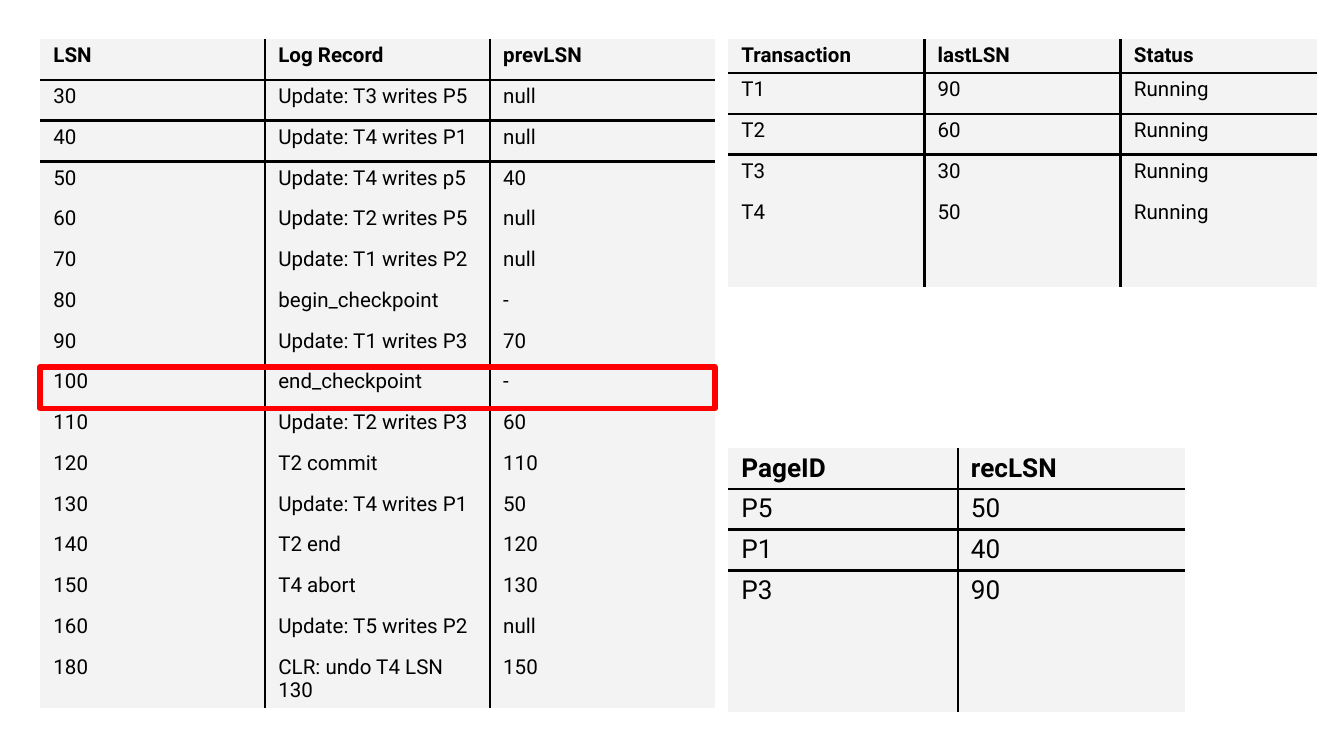
from dataclasses import dataclass

from lxml.etree import SubElement
from pptx import Presentation
from pptx.dml.color import RGBColor as RGB
from pptx.enum.shapes import MSO_SHAPE as Shape
from pptx.oxml.ns import qn
from pptx.util import Cm, Pt


@dataclass(frozen=True)
class Theme:
    font: str = "Roboto"
    ink: str = "000000"
    cell: str = "F3F3F3"
    accent: str = "FF0000"
    small: float = 11
    large: float = 14
    rule: float = 1.5
    frame: float = 3


@dataclass(frozen=True)
class Grid:
    """A table; all lengths are in centimetres."""
    left: float
    top: float
    cols: tuple[float, ...]
    rows: list[tuple[str, ...]]
    size: float
    header_height: float


THEME = Theme()
ROW_HEIGHT = 0.77
EMPTY_ROW_HEIGHT = 0.9
PLAIN_STYLE = "{2D5ABB26-0587-4C30-8999-92F81FD0307C}"

# Contents of the three recovery tables
LOG = Grid(0.76, 0.74, (4.25,) * 3, [
    ("LSN", "Log Record", "prevLSN"),
    ("30", "Update: T3 writes P5", "null"),
    ("40", "Update: T4 writes P1", "null"),
    ("50", "Update: T4 writes p5", "40"),
    ("60", "Update: T2 writes P5", "null"),
    ("70", "Update: T1 writes P2", "null"),
    ("80", "begin_checkpoint", "-"),
    ("90", "Update: T1 writes P3", "70"),
    ("100", "end_checkpoint", "-"),
    ("110", "Update: T2 writes P3", "60"),
    ("120", "T2 commit", "110"),
    ("130", "Update: T4 writes P1", "50"),
    ("140", "T2 end", "120"),
    ("150", "T4 abort", "130"),
    ("160", "Update: T5 writes P2", "null"),
    ("180", "CLR: undo T4 LSN 130", "150"),
], THEME.small, ROW_HEIGHT)

TRANSACTIONS = Grid(13.76, 0.74, (3.71,) * 3, [
    ("Transaction", "lastLSN", "Status"),
    ("T1", "90", "Running"),
    ("T2", "60", "Running"),
    ("T3", "30", "Running"),
    ("T4", "50", "Running"),
    ("",) * 3,
], THEME.small, 0.64)

DIRTY_PAGES = Grid(13.76, 8.47, (4.34, 4.29), [
    ("PageID", "recLSN"),
    ("P5", "50"),
    ("P1", "40"),
    ("P3", "90"),
    ("",) * 2,
    ("",) * 2,
], THEME.large, ROW_HEIGHT)


def write(tf, text: str, *, size: float, bold: bool = False) -> None:
    r = tf.paragraphs[0].add_run()
    r.text = text
    r.font.name = THEME.font
    r.font.size = Pt(size)
    r.font.bold = bold
    r.font.color.rgb = RGB.from_string(THEME.ink)


def add_border(cell, side: str) -> None:
    ln = SubElement(cell._tc.get_or_add_tcPr(), qn(f"a:ln{side}"), w=str(Pt(THEME.rule)))
    fill = SubElement(ln, qn("a:solidFill"))
    SubElement(fill, qn("a:srgbClr"), val=THEME.ink)


def row_height(grid: Grid, i: int) -> float:
    if i == 0:
        return grid.header_height
    return ROW_HEIGHT if any(grid.rows[i]) else EMPTY_ROW_HEIGHT


def draw_grid(slide, grid: Grid) -> None:
    heights = [row_height(grid, i) for i in range(len(grid.rows))]
    sp = slide.shapes.add_table(len(heights), len(grid.cols), Cm(grid.left), Cm(grid.top),
                                Cm(sum(grid.cols)), Cm(sum(heights)))
    sp.element.find(".//" + qn("a:tableStyleId")).text = PLAIN_STYLE
    table = sp.table
    table.horz_banding = False
    for col, width in zip(table.columns, grid.cols):
        col.width = Cm(width)
    for i, (row, values) in enumerate(zip(table.rows, grid.rows)):
        row.height = Cm(heights[i])
        for j, value in enumerate(values):
            cell = table.cell(i, j)
            cell.margin_left = cell.margin_right = Cm(0.25)
            cell.margin_top = cell.margin_bottom = Cm(0.09)
            # Rules run between columns and under the first two rows
            sides = {"L": j > 0, "R": j < len(values) - 1, "T": i in (1, 2), "B": i in (0, 1)}
            for side, shown in sides.items():
                if shown:
                    add_border(cell, side)
            cell.fill.solid()
            cell.fill.fore_color.rgb = RGB.from_string(THEME.cell)
            if value:
                write(cell.text_frame, value, size=grid.size, bold=i == 0)


def draw_highlight(slide, grid: Grid, top: float) -> None:
    sp = slide.shapes.add_shape(Shape.RECTANGLE, Cm(grid.left), Cm(top),
                                Cm(sum(grid.cols)), Cm(0.78))
    sp.shadow.inherit = False
    sp.fill.background()
    sp.line.color.rgb = RGB.from_string(THEME.accent)
    sp.line.width = Pt(THEME.frame)


def main() -> None:
    prs = Presentation()
    prs.slide_width, prs.slide_height = Cm(25.4), Cm(14.29)
    slide = prs.slides.add_slide(prs.slide_layouts[6])
    for grid in (LOG, TRANSACTIONS, DIRTY_PAGES):
        draw_grid(slide, grid)
    # Frame around the end_checkpoint record
    draw_highlight(slide, LOG, top=6.94)
    prs.save("out.pptx")


if __name__ == "__main__":
    main()
